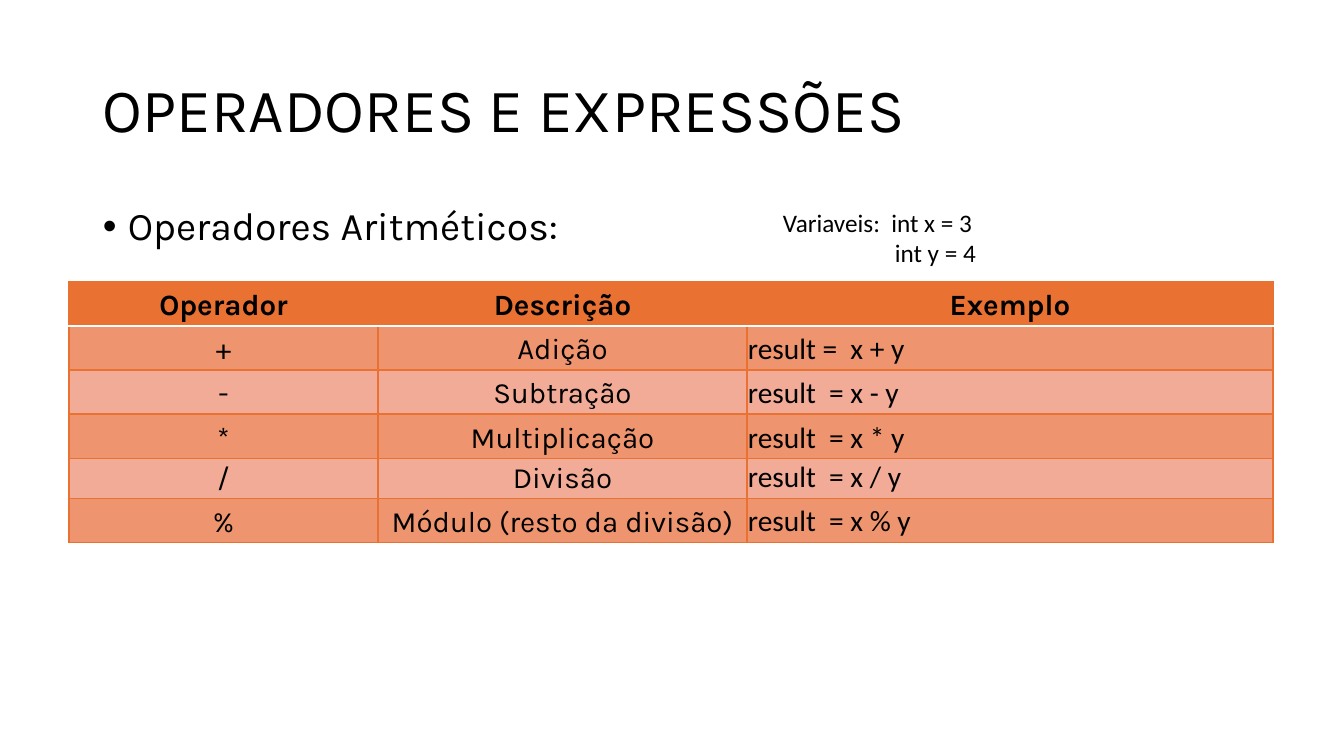
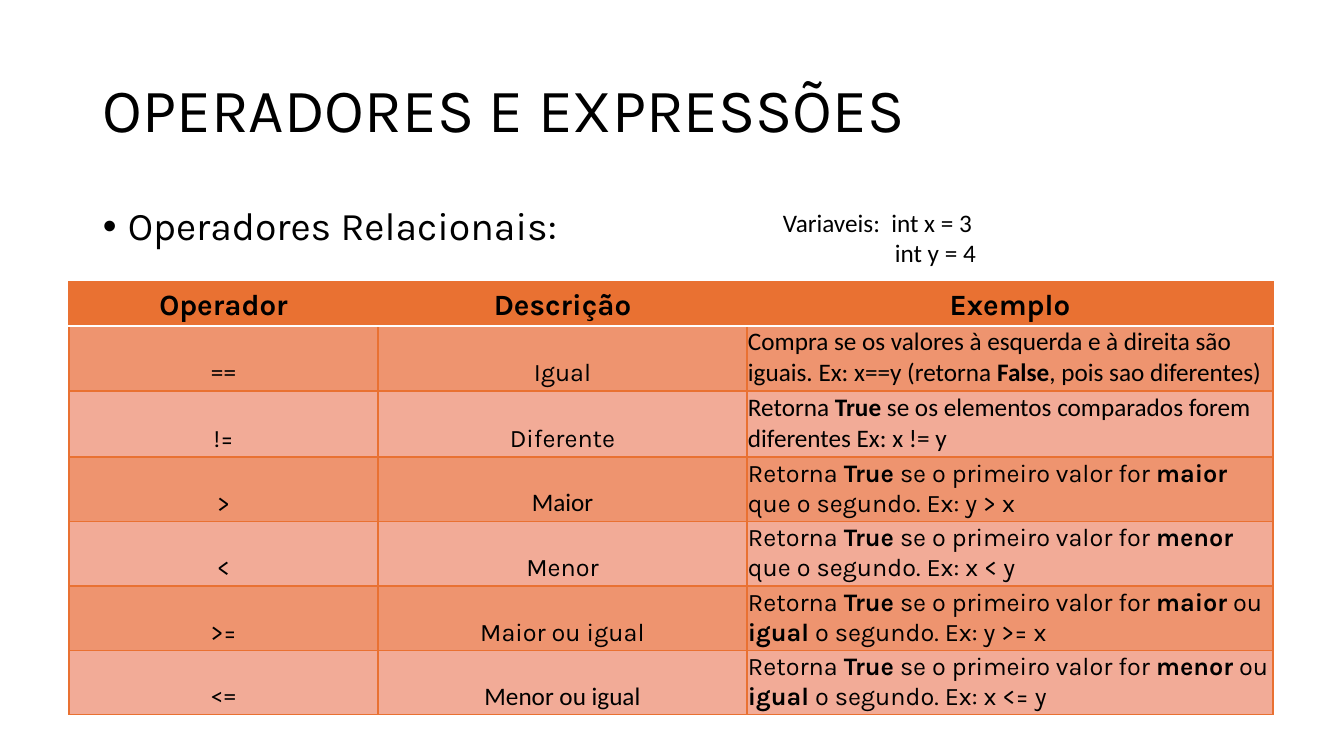
from dataclasses import dataclass

from lxml.etree import SubElement
from pptx import Presentation
from pptx.dml.color import RGBColor
from pptx.enum.text import MSO_ANCHOR, PP_ALIGN
from pptx.oxml.ns import qn
from pptx.util import Emu, Pt


@dataclass(frozen=True)
class Theme:
    """Colours, fonts and type sizes of the deck."""
    text: str = "000000"
    accent: str = "E97132"
    band_dark: str = "EE946F"
    band_light: str = "F2AB97"
    rule: str = "FFFFFF"
    main_font: str = "Karla"
    code_font: str = "Calibri"
    title_size: int = 44
    topic_size: int = 28
    header_size: int = 21
    note_size: int = 18
    border_width: float = 1
    rule_width: float = 1.5


@dataclass(frozen=True)
class Box:
    """A region of the page in px."""
    left: int
    top: int
    width: int
    height: int

    def emu(self):
        """Return the four lengths in EMU."""
        return [px(value) for value in (self.left, self.top, self.width, self.height)]


@dataclass(frozen=True)
class Entry:
    """Text of one table cell, with bold parts between double asterisks."""
    text: str
    font: str = Theme.main_font


THEME = Theme()
PX_PER_INCH = 100.8
PAGE = Box(0, 0, 1344, 756)
TITLE_BOX = Box(93, 40, 1159, 146)
TOPIC_BOX = Box(93, 202, 1159, 480)
NOTE_BOX = Box(773, 202, 216, 72)
TABLE_LEFT, TABLE_TOP = 69, 282
COLUMN_WIDTHS = (309, 369, 526)
HEADER_HEIGHT = 44
HEADERS = ("Operador", "Descrição", "Exemplo")


def px(value):
    """Turn px into EMU."""
    return Emu(round(value * 914400 / PX_PER_INCH))


def code(text):
    """Return an entry in the code font."""
    return Entry(text, THEME.code_font)


ARITHMETIC = [
    (44, Entry("+"), Entry("Adição"), code("result =  x + y")),
    (44, Entry("-"), Entry("Subtração"), code("result  = x - y")),
    (45, Entry("*"), Entry("Multiplicação"), code("result  = x * y")),
    (40, Entry("/"), Entry("Divisão"), code("result  = x / y")),
    (44, Entry("%"), Entry("Módulo (resto da divisão)"), code("result  = x % y")),
]
RELATIONAL = [
    (65, code("=="), Entry("Igual"),
     code("Compra se os valores à esquerda e à direita são iguais. "
          "Ex: x==y (retorna **False**, pois sao diferentes)")),
    (66, Entry("!="), Entry("Diferente"),
     code("Retorna **True** se os elementos comparados forem diferentes Ex: x != y")),
    (63, Entry(">"), code("Maior"),
     Entry("Retorna **True** se o primeiro valor for **maior** que o segundo. Ex: y > x")),
    (63, Entry("<"), Entry("Menor"),
     Entry("Retorna **True** se o primeiro valor for **menor** que o segundo. Ex: x < y")),
    (63, Entry(">="), Entry("Maior ou igual"),
     Entry("Retorna **True** se o primeiro valor for **maior** ou **igual** "
           "o segundo. Ex: y >= x")),
    (64, code("<="), code("Menor ou igual"),
     Entry("Retorna **True** se o primeiro valor for **menor** ou **igual** "
           "o segundo. Ex: x <= y")),
]


def style(para, font, size, bold=False):
    """Set the font of a whole paragraph."""
    para.font.name = font
    para.font.size = Pt(size)
    para.font.bold = bold
    para.font.color.rgb = RGBColor.from_string(THEME.text)


def indent(para, left, first=0):
    """Set the left margin and first-line indent in px."""
    properties = para._p.get_or_add_pPr()
    properties.set("marL", str(px(left)))
    properties.set("indent", str(px(first)))
    return properties


def add_text_frame(page, box):
    """Add a wrapping text box and return its frame."""
    frame = page.shapes.add_textbox(*box.emu()).text_frame
    frame.word_wrap = True
    return frame


def add_title(page, box):
    """Place the shared title."""
    frame = add_text_frame(page, box)
    frame.vertical_anchor = MSO_ANCHOR.MIDDLE
    para = frame.paragraphs[0]
    para.text = "OPERADORES E EXPRESSÕES"
    para.line_spacing = 0.9
    style(para, THEME.main_font, THEME.title_size)


def add_topic(page, box, topic):
    """Place the bulleted topic line."""
    para = add_text_frame(page, box).paragraphs[0]
    para.text = topic
    para.line_spacing = 0.9
    properties = indent(para, 25, -25)
    SubElement(properties, qn("a:buFont")).set("typeface", "Arial")
    SubElement(properties, qn("a:buChar")).set("char", "•")
    style(para, THEME.main_font, THEME.topic_size)


def add_variables(page, box):
    """Place the note that lists the variables."""
    frame = add_text_frame(page, box)
    first, second = frame.paragraphs[0], frame.add_paragraph()
    first.text = "Variaveis:  int x = 3"
    second.text = "int y = 4"
    indent(second, 112)
    for para in (first, second):
        style(para, THEME.code_font, THEME.note_size)


def set_borders(cell, row_index):
    """Draw the four borders of a cell, with a pale rule under the header."""
    properties = cell._tc.get_or_add_tcPr()
    rule_side = {0: "lnB", 1: "lnT"}.get(row_index)
    for position, side in enumerate(("lnL", "lnR", "lnT", "lnB")):
        is_rule = side == rule_side
        line = SubElement(properties, qn(f"a:{side}"))
        line.set("w", str(Pt(THEME.rule_width if is_rule else THEME.border_width)))
        fill = SubElement(line, qn("a:solidFill"))
        SubElement(fill, qn("a:srgbClr")).set("val", THEME.rule if is_rule else THEME.accent)
        properties.insert(position, line)


def fill_cell(cell, entry, size, row_index, column_index):
    """Write and format one table cell."""
    is_header = row_index == 0
    cell.margin_left = cell.margin_top = cell.margin_right = px(1)
    cell.margin_bottom = px(3)
    cell.vertical_anchor = MSO_ANCHOR.BOTTOM
    band = THEME.band_dark if row_index % 2 else THEME.band_light
    cell.fill.solid()
    cell.fill.fore_color.rgb = RGBColor.from_string(THEME.accent if is_header else band)
    set_borders(cell, row_index)
    para = cell.text_frame.paragraphs[0]
    is_example = column_index == len(HEADERS) - 1
    para.alignment = PP_ALIGN.LEFT if is_example and not is_header else PP_ALIGN.CENTER
    style(para, entry.font, size, is_header)
    for index, part in enumerate(entry.text.split("**")):
        span = para.add_run()
        span.text = part
        if index % 2:
            span.font.bold = True


def add_operator_table(page, left, top, rows, size):
    """Place the operator table below its header row."""
    lines = [(HEADER_HEIGHT, *map(Entry, HEADERS)), *rows]
    box = Box(left, top, sum(COLUMN_WIDTHS), sum(line[0] for line in lines))
    table = page.shapes.add_table(len(lines), len(HEADERS), *box.emu()).table
    table.first_row = table.horz_banding = False
    for column, width in zip(table.columns, COLUMN_WIDTHS):
        column.width = px(width)
    for row_index, (height, *entries) in enumerate(lines):
        table.rows[row_index].height = px(height)
        for column_index, entry in enumerate(entries):
            fill_cell(table.cell(row_index, column_index), entry,
                      size if row_index else THEME.header_size, row_index, column_index)


def add_operator_page(deck, topic, rows, size):
    """Build one slide about a family of operators."""
    page = deck.slides.add_slide(deck.slide_layouts[6])
    add_title(page, TITLE_BOX)
    add_topic(page, TOPIC_BOX, topic)
    add_operator_table(page, TABLE_LEFT, TABLE_TOP, rows, size)
    add_variables(page, NOTE_BOX)


def main():
    """Build and save the deck."""
    deck = Presentation()
    deck.slide_width, deck.slide_height = px(PAGE.width), px(PAGE.height)
    add_operator_page(deck, "Operadores Aritméticos:", ARITHMETIC, THEME.header_size)
    add_operator_page(deck, "Operadores Relacionais:", RELATIONAL, THEME.note_size)
    deck.save("out.pptx")


if __name__ == "__main__":
    main()
